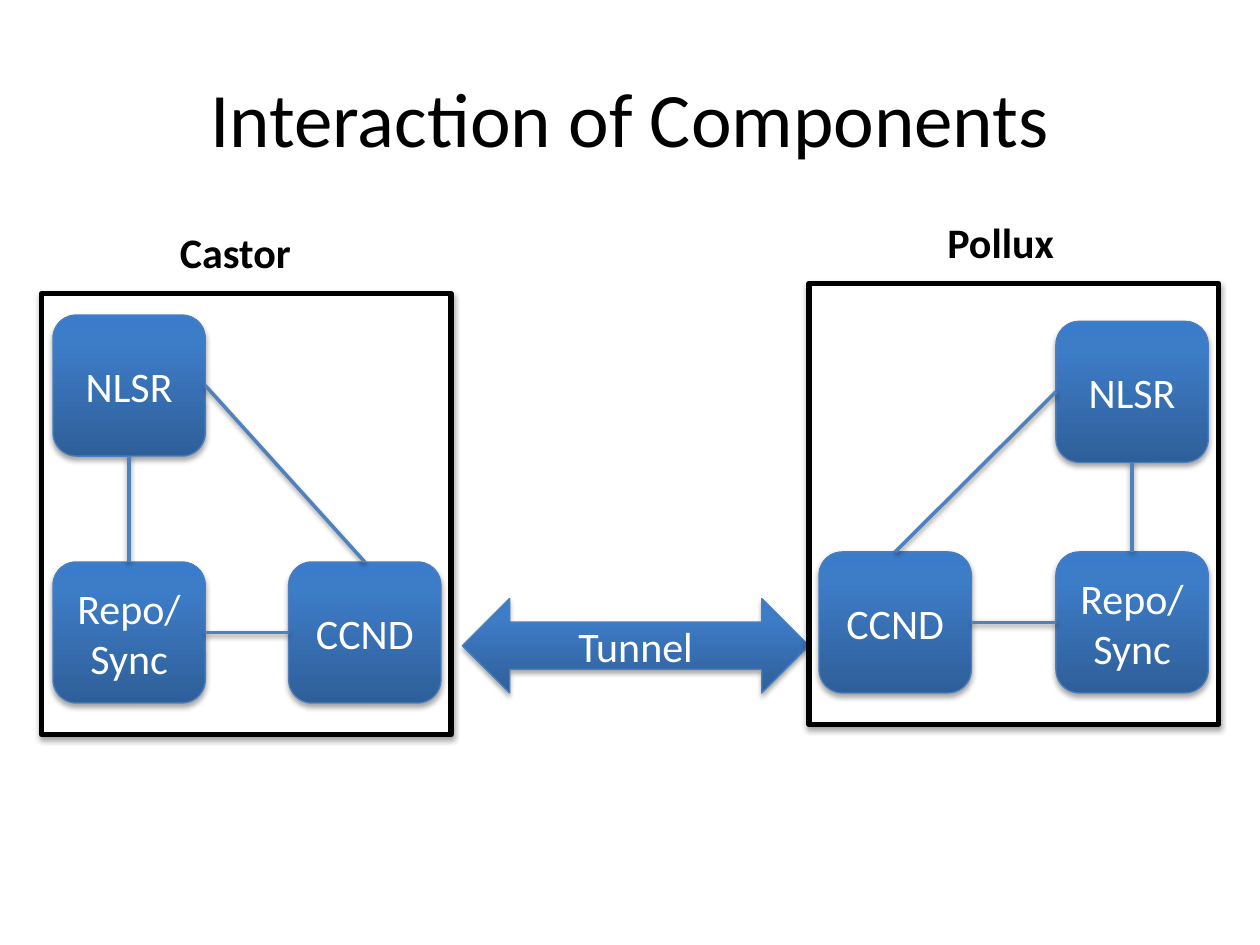
from dataclasses import dataclass

from copy import deepcopy
from lxml.etree import SubElement
from pptx import Presentation
from pptx.dml.color import RGBColor
from pptx.enum.shapes import MSO_CONNECTOR as Connector, MSO_SHAPE as Preset
from pptx.enum.text import MSO_ANCHOR as Anchor, PP_ALIGN as Align
from pptx.oxml.ns import qn
from pptx.util import Inches, Pt


@dataclass(frozen=True)
class Theme:
    font: str = "Calibri"
    title_size: int = 44
    label_size: int = 24
    black: str = "000000"
    white: str = "FFFFFF"
    node_line: str = "4B7EBC"
    link_line: str = "4F81BD"
    gradient: tuple = ((0, "2F5F99"), (0.8, "3D7CC7"), (1, "3A7CCB"))


THEME = Theme()
NODE_SIZE = (1.21, 1.12)
HOST_SIZE = (3.25, 3.5)
TOP, LEFT, BOTTOM, RIGHT = range(4)  # connection sites of a node

# Each host: name box, frame corner, node corners, links (node, site, node, site)
HOSTS = (
    {
        "name": ("Castor", (1.33, 1.75, 1.09, 0.5)),
        "frame": (0.33, 2.33),
        "nodes": {"NLSR": (0.42, 2.5), "CCND": (2.29, 4.46), "Repo/Sync": (0.42, 4.46)},
        "links": (
            ("Repo/Sync", TOP, "NLSR", BOTTOM),
            ("Repo/Sync", RIGHT, "CCND", LEFT),
            ("CCND", TOP, "NLSR", RIGHT),
        ),
    },
    {
        "name": ("Pollux", (7.42, 1.67, 1.06, 0.5)),
        "frame": (6.42, 2.25),
        "nodes": {"NLSR": (8.38, 2.55), "Repo/Sync": (8.38, 4.38), "CCND": (6.5, 4.38)},
        "links": (
            ("CCND", TOP, "NLSR", LEFT),
            ("CCND", RIGHT, "Repo/Sync", LEFT),
            ("Repo/Sync", TOP, "NLSR", BOTTOM),
        ),
    },
)


def rgb(value):
    return RGBColor.from_string(value)


def set_attributes(target, values):
    for name, value in values.items():
        setattr(target, name, value)


def set_line(shape, color, width):
    shape.line.color.rgb = rgb(color)
    shape.line.width = Pt(width)


def add_shadow(shape, opacity, distance):
    effects = SubElement(shape._element.spPr, qn("a:effectLst"))
    values = {"blurRad": Pt(3.1), "dist": Pt(distance), "dir": 90 * 60000, "rotWithShape": 0}
    shadow = SubElement(effects, qn("a:outerShdw"),
                        {name: str(int(value)) for name, value in values.items()})
    color = SubElement(shadow, qn("a:srgbClr"), val=THEME.black)
    SubElement(color, qn("a:alpha"), val=str(opacity * 1000))


def fill_gradient(shape):
    shape.fill.gradient()
    shape.fill.gradient_angle = 90
    stops = shape._element.spPr.find(qn("a:gradFill")).find(qn("a:gsLst"))
    stops.append(deepcopy(stops[0]))
    for stop, (position, color) in zip(shape.fill.gradient_stops, THEME.gradient):
        stop.position = position
        stop.color.rgb = rgb(color)


def write_text(shape, text, color, size=THEME.label_size, bold=False,
               align=Align.CENTER, anchor=Anchor.MIDDLE, wrap=True):
    set_attributes(shape.text_frame, {"word_wrap": wrap, "vertical_anchor": anchor})
    paragraph = shape.text_frame.paragraphs[0]
    paragraph.alignment = align
    run = paragraph.add_run()
    run.text = text
    set_attributes(run.font, {"name": THEME.font, "size": Pt(size), "bold": bold})
    run.font.color.rgb = rgb(color)


def add_text(slide, box, text, **text_format):
    shape = slide.shapes.add_textbox(*map(Inches, box))
    write_text(shape, text, THEME.black, **text_format)


def add_frame(shapes, corner):
    frame = shapes.add_shape(Preset.RECTANGLE, *map(Inches, corner + HOST_SIZE))
    frame.fill.solid()
    frame.fill.fore_color.rgb = rgb(THEME.white)
    set_line(frame, THEME.black, 3)
    add_shadow(frame, 35, 1.8)


def add_block(shapes, preset, box, text):
    block = shapes.add_shape(preset, *map(Inches, box))
    fill_gradient(block)
    set_line(block, THEME.node_line, 0.75)
    add_shadow(block, 35, 1.8)
    write_text(block, text, THEME.white)
    return block


def add_link(shapes, start, start_site, end, end_site):
    link = shapes.add_connector(Connector.STRAIGHT, 0, 0, 0, 0)
    link.begin_connect(start, start_site)
    link.end_connect(end, end_site)
    set_line(link, THEME.link_line, 2)
    add_shadow(link, 38, 1.6)


def add_host(slide, host):
    shapes = slide.shapes.add_group_shape().shapes
    add_frame(shapes, host["frame"])
    nodes = {
        name: add_block(shapes, Preset.ROUNDED_RECTANGLE, corner + NODE_SIZE, name)
        for name, corner in host["nodes"].items()
    }
    for start, start_site, end, end_site in host["links"]:
        add_link(shapes, nodes[start], start_site, nodes[end], end_site)


def main():
    presentation = Presentation()
    set_attributes(presentation, {"slide_width": Inches(10), "slide_height": Inches(7.5)})
    slide = presentation.slides.add_slide(presentation.slide_layouts[6])

    # Title
    add_text(slide, (0.5, 0.3, 9, 1.25), "Interaction of Components", size=THEME.title_size)

    # Hosts with the tunnel between them
    castor, pollux = HOSTS
    add_host(slide, castor)
    add_block(slide.shapes, Preset.LEFT_RIGHT_ARROW, (3.67, 4.75, 2.75, 0.75), "Tunnel")
    add_host(slide, pollux)

    # Host names
    for host in HOSTS:
        name, box = host["name"]
        add_text(slide, box, name, bold=True, align=Align.LEFT, anchor=Anchor.TOP, wrap=False)

    presentation.save("out.pptx")


main()
